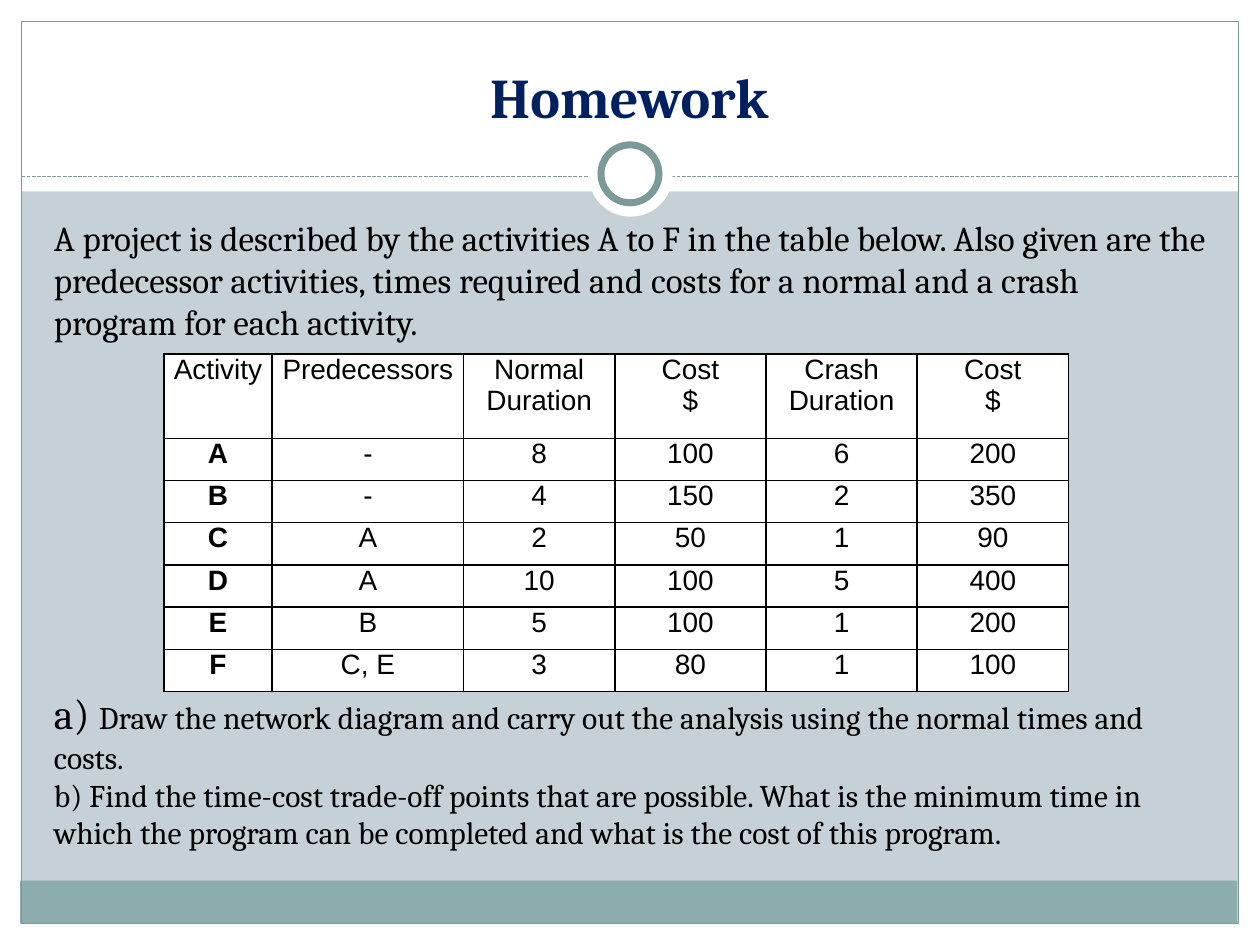
from dataclasses import dataclass
from typing import Any

import lxml.etree
import pptx
import pptx.dml.color
import pptx.enum.dml
import pptx.enum.shapes
import pptx.enum.text
import pptx.oxml
import pptx.oxml.ns
import pptx.util

Inches = pptx.util.Inches
Pt = pptx.util.Pt
Kind = pptx.enum.shapes.MSO_SHAPE
Align = pptx.enum.text.PP_ALIGN
Anchor = pptx.enum.text.MSO_ANCHOR

WHITE = "FFFFFF"
BLACK = "000000"
SLATE = "7C999A"
TEAL = "8CADAE"
NAVY = "002060"
BACKGROUND = "C5D1D7"


@dataclass
class Panel:
    kind: Any
    left: float
    top: float
    width: float
    height: float
    fill: str | None = WHITE
    line: str | None = None
    weight: float = 0.75


@dataclass
class Span:
    text: str
    size: float


PANELS = [
    Panel(Kind.RECTANGLE, 0, 7.33, 10, 0.17),
    Panel(Kind.RECTANGLE, 0, 0, 10, 1.52),
    Panel(Kind.RECTANGLE, 0, 0, 0.17, 7.5),
    Panel(Kind.RECTANGLE, 9.83, 0, 0.17, 7.5),
    Panel(Kind.RECTANGLE, 0.16, 6.99, 9.66, 0.34, TEAL),
    Panel(Kind.RECTANGLE, 0.17, 0.17, 9.66, 7.16, None, SLATE),
]
RINGS = [
    Panel(Kind.OVAL, 4.67, 1.05, 0.67, 0.67),
    Panel(Kind.OVAL, 4.77, 1.15, 0.46, 0.46, WHITE, SLATE, 4),
]
TABLE_GAP = 197
BODY = [
    ([Span("A project is described by the activities A to F in the table below. "
           "Also given are the predecessor activities, times required and costs "
           "for a normal and a crash program for each activity.", 20)], TABLE_GAP),
    ([Span("a) ", 24),
      Span("Draw the network diagram and carry out the analysis using the "
           "normal times and costs.", 18)], 0),
    ([Span("b) Find the time-cost trade-off points that are possible. What is "
           "the minimum time in which the program can be completed and what is "
           "the cost of this program.", 18)], 0),
]
ACTIVITIES = [
    ["Activity", "Predecessors", "Normal Duration", "Cost\n$", "Crash Duration", "Cost\n$"],
    ["A", "-", "8", "100", "6", "200"],
    ["B", "-", "4", "150", "2", "350"],
    ["C", "A", "2", "50", "1", "90"],
    ["D", "A", "10", "100", "5", "400"],
    ["E", "B", "5", "100", "1", "200"],
    ["F", "C, E", "3", "80", "1", "100"],
]
COLUMN_WIDTHS = [0.86, 1.52] + [1.2] * 4
TABLE_HEIGHT = 2.68
HEADER_HEIGHT = 0.67


def rgb(value: str) -> pptx.dml.color.RGBColor:
    return pptx.dml.color.RGBColor.from_string(value)


def apply(target: Any, values: dict[str, Any]) -> None:
    for name, value in values.items():
        setattr(target, name, value)


def format_font(font: Any, color: str, **values: Any) -> None:
    apply(font, values)
    font.color.rgb = rgb(color)


def paint(fill: Any, color: str | None) -> None:
    if color is None:
        fill.background()
    else:
        fill.solid()
        fill.fore_color.rgb = rgb(color)


def draw_panel(page: Any, panel: Panel) -> None:
    shape = page.shapes.add_shape(
        panel.kind, Inches(panel.left), Inches(panel.top),
        Inches(panel.width), Inches(panel.height))
    shape.shadow.inherit = False
    paint(shape.fill, panel.fill)
    paint(shape.line.fill, panel.line)
    if panel.line:
        shape.line.width = Pt(panel.weight)


def draw_divider(page: Any) -> None:
    divider = page.shapes.add_connector(
        pptx.enum.shapes.MSO_CONNECTOR.STRAIGHT,
        Inches(0.17), Inches(1.4), Inches(9.83), Inches(1.4))
    paint(divider.line.fill, SLATE)
    apply(divider.line, {"width": Pt(0.75),
                         "dash_style": pptx.enum.dml.MSO_LINE.SQUARE_DOT})
    lxml.etree.SubElement(divider.element.spPr, pptx.oxml.ns.qn("a:effectLst"))


def draw_title(page: Any) -> None:
    title = page.shapes.title
    page.shapes.element.append(title.element)
    apply(title, {"left": Inches(0.33), "top": Inches(0.25),
                  "width": Inches(9.33), "height": Inches(0.83)})
    title.text_frame.text = "Homework"
    title.text_frame.vertical_anchor = Anchor.BOTTOM
    para = title.text_frame.paragraphs[0]
    para.alignment = Align.CENTER
    format_font(para.runs[0].font, NAVY, name="Cambria", size=Pt(32), bold=True)


def draw_body(page: Any) -> None:
    box = page.shapes.add_textbox(Inches(0.33), Inches(1.67), Inches(9.36), Inches(5))
    frame = box.text_frame
    frame.word_wrap = True
    for index, (spans, gap) in enumerate(BODY):
        para = frame.add_paragraph() if index else frame.paragraphs[0]
        para.space_after = Pt(gap)
        for span in spans:
            run = para.add_run()
            run.text = span.text
            format_font(run.font, BLACK, name="Cambria", size=Pt(span.size))


def add_borders(cell: Any) -> None:
    properties = cell._tc.get_or_add_tcPr()
    for side in ("lnL", "lnR", "lnT", "lnB"):
        properties.append(pptx.oxml.parse_xml(
            f'<a:{side} {pptx.oxml.ns.nsdecls("a")} w="{Pt(1)}"><a:solidFill>'
            f'<a:srgbClr val="{BLACK}"/></a:solidFill></a:{side}>'))


def fill_cell(cell: Any, text: str, bold: bool) -> None:
    cell.text = text
    apply(cell, {"margin_left": Inches(0.05), "margin_right": Inches(0.05),
                 "margin_top": 0, "margin_bottom": 0})
    add_borders(cell)
    paint(cell.fill, WHITE)
    for para in cell.text_frame.paragraphs:
        para.alignment = Align.CENTER
        format_font(para.runs[0].font, BLACK, name="Arial", size=Pt(16), bold=bold)


def draw_table(page: Any) -> None:
    table = page.shapes.add_table(
        len(ACTIVITIES), len(COLUMN_WIDTHS), Inches(1.3), Inches(2.81),
        Inches(sum(COLUMN_WIDTHS)), Inches(TABLE_HEIGHT)).table
    for column, width in zip(table.columns, COLUMN_WIDTHS):
        column.width = Inches(width)
    row_height = (TABLE_HEIGHT - HEADER_HEIGHT) / (len(ACTIVITIES) - 1)
    for i, values in enumerate(ACTIVITIES):
        table.rows[i].height = Inches(row_height if i else HEADER_HEIGHT)
        for j, value in enumerate(values):
            fill_cell(table.cell(i, j), value, bold=i > 0 and j == 0)


def main() -> None:
    deck = pptx.Presentation()
    apply(deck, {"slide_width": Inches(10), "slide_height": Inches(7.5)})
    page = deck.slides.add_slide(deck.slide_layouts[5])
    paint(page.background.fill, BACKGROUND)
    for panel in PANELS:
        draw_panel(page, panel)
    draw_divider(page)
    for ring in RINGS:
        draw_panel(page, ring)
    draw_title(page)
    draw_body(page)
    draw_table(page)
    deck.save("out.pptx")


if __name__ == "__main__":
    main()
